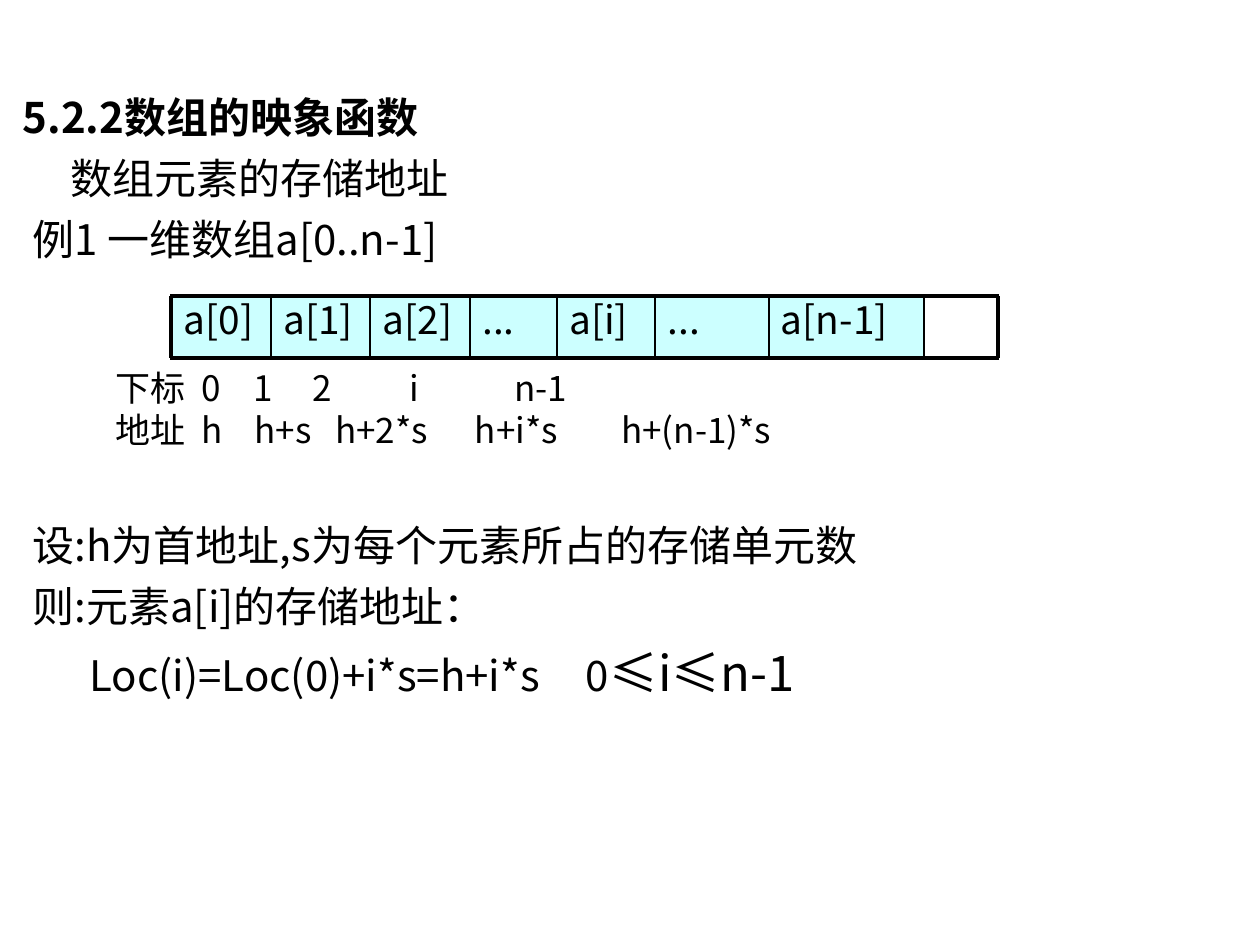
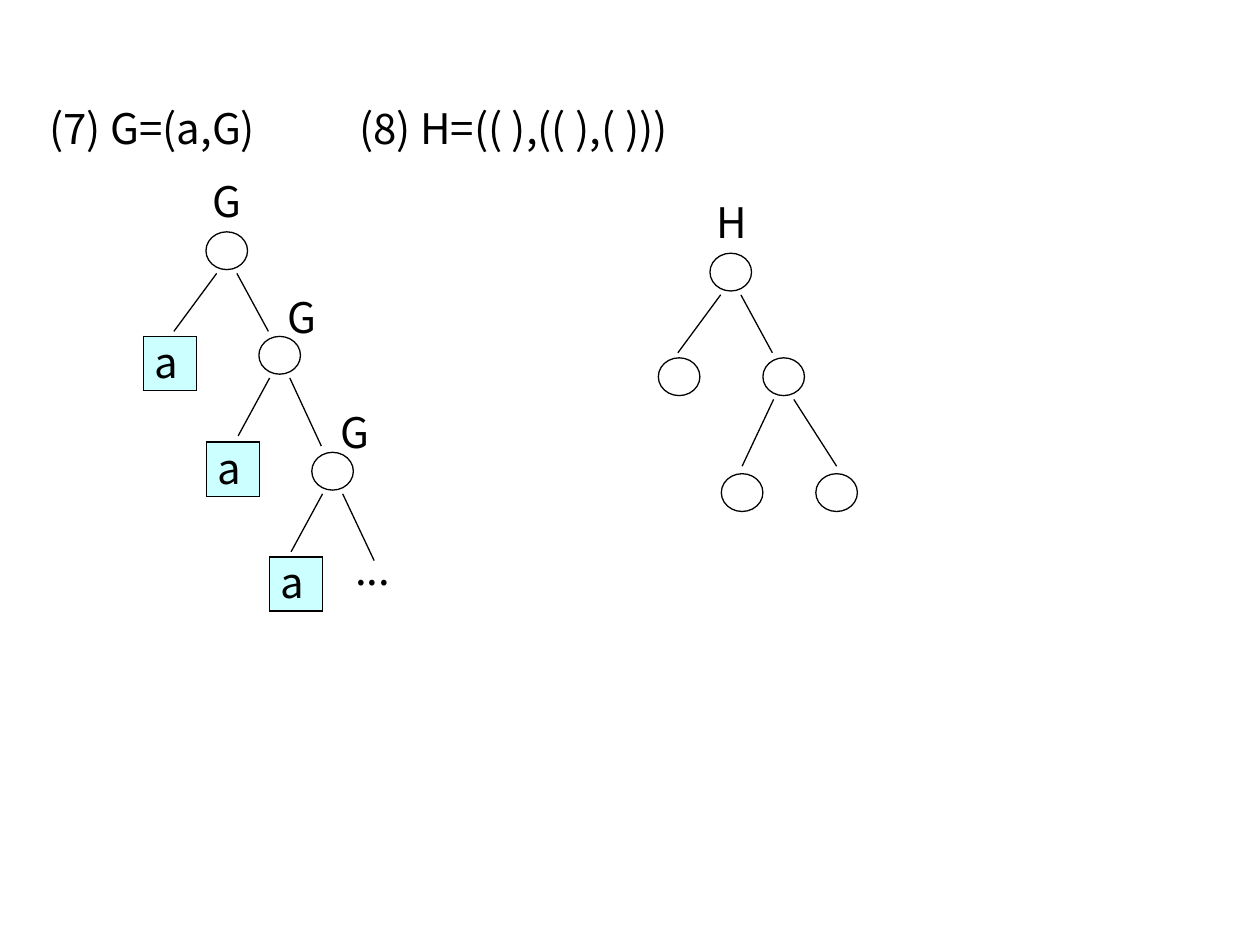
"""Build two lecture slides on array addressing and generalized lists."""
from dataclasses import dataclass

from lxml import etree
from pptx import Presentation
from pptx.dml.color import RGBColor
from pptx.enum import shapes, text
from pptx.oxml import ns
from pptx.util import Inches, Pt


@dataclass(frozen=True)
class Theme:
    """Colours, font, type sizes and line widths of the deck."""
    font: str = "Noto Sans CJK SC"
    ink: RGBColor = RGBColor(0x00, 0x00, 0x00)
    cell: RGBColor = RGBColor(0xCC, 0xFF, 0xFF)
    body: float = 24
    formula: float = 28
    entry: float = 22.2
    label: float = 20
    leading: float = 1.2
    thin: float = 0.75
    border: float = 1.1
    frame: float = 2.25


THEME = Theme()


def add_xml(parent, tag, **attributes):
    """Append a DrawingML element and return it."""
    return etree.SubElement(parent, ns.qn(tag), attributes)


def add_span(para, words, size=THEME.body, bold=False):
    """Add a run in the deck's font."""
    span = para.add_run()
    span.text = words
    span.font.size = Pt(size)
    span.font.bold = bold
    span.font.name = THEME.font
    span.font.color.rgb = THEME.ink
    add_xml(span.font._element, "a:ea", typeface=THEME.font)


def format_para(para, size=THEME.body, before=0, indent=0, tabs=()):
    """Set line height, gap above, indent and tab stops of a paragraph."""
    para.alignment = text.PP_ALIGN.LEFT
    para.line_spacing = Pt(round(size * THEME.leading, 1))
    para.space_before = Pt(before)
    properties = para._p.get_or_add_pPr()
    if indent:
        properties.set("marL", str(Inches(indent)))
    if tabs:
        stops = add_xml(properties, "a:tabLst")
        for stop in tabs:
            add_xml(stops, "a:tab", pos=str(Inches(stop)), algn="l")


def write(frame, words, size=THEME.body, bold=False, first=True, **layout):
    """Write one formatted paragraph into a text frame."""
    para = frame.paragraphs[0] if first else frame.add_paragraph()
    format_para(para, size, **layout)
    add_span(para, words, size, bold)


def set_margins(target, left=0.0, top=0.0):
    """Set left and top margins, with none on the other sides."""
    target.margin_left, target.margin_top = Inches(left), Inches(top)
    target.margin_right = target.margin_bottom = 0


def add_text_frame(page, left, top, width, height, wrap=True):
    """Add a text box without margins and return its frame."""
    box = page.shapes.add_textbox(*map(Inches, (left, top, width, height)))
    frame = box.text_frame
    frame.word_wrap = wrap
    set_margins(frame)
    return frame


def add_line(page, start, end, width):
    """Draw a straight line between two points."""
    line = page.shapes.add_connector(
        shapes.MSO_CONNECTOR.STRAIGHT, *map(Inches, (*start, *end)))
    line.line.color.rgb = THEME.ink
    line.line.width = Pt(width)
    add_xml(line._element.spPr, "a:effectLst")


def add_explanation(page, left, top):
    """Write the heading, the example and the address formula."""
    frame = add_text_frame(page, left, top, 9.6, 6)
    write(frame, "5.2.2数组的映象函数", bold=True)
    gap, array_gap = 6, 145.7
    for words, indent, before in (
            ("数组元素的存储地址", 0.38, gap),
            ("例1 一维数组a[0..n-1]", 0.08, gap),
            ("设:h为首地址,s为每个元素所占的存储单元数", 0.08, array_gap),
            ("则:元素a[i]的存储地址：", 0.08, gap)):
        write(frame, words, first=False, before=before, indent=indent)
    formula = frame.add_paragraph()
    format_para(formula, THEME.formula, before=gap + 1, tabs=(0.53, 4.47))
    add_span(formula, "\tLoc(i)=Loc(0)+i*s=h+i*s\t0")
    add_span(formula, "≤i≤n-1", THEME.formula)


def add_array(page, left, top):
    """Draw the array's cells, dividers and outer frame."""
    height = 0.49
    entries = ("a[0]", "a[1]", "a[2]", "...", "a[i]", "...", "a[n-1]")
    edges = [left + step for step in
             (0, 0.79, 1.58, 2.37, 3.06, 3.84, 4.74, 5.97, 6.56)]
    for entry, start, end in zip(entries, edges, edges[1:]):
        cell = page.shapes.add_shape(
            shapes.MSO_SHAPE.RECTANGLE,
            *map(Inches, (start, top, end - start, height)))
        cell.shadow.inherit = False
        cell.fill.solid()
        cell.fill.fore_color.rgb = THEME.cell
        cell.line.fill.background()
        frame = cell.text_frame
        frame.vertical_anchor = text.MSO_ANCHOR.TOP
        frame.word_wrap = False
        set_margins(frame, 0.1)
        write(frame, entry, THEME.entry)
    for edge in edges:
        outer = edge in (edges[0], edges[-1])
        add_line(page, (edge, top), (edge, top + height),
                 THEME.frame if outer else THEME.border)
    overlap = 0.01
    for side in (top, top + height):
        add_line(page, (edges[0] - overlap, side),
                 (edges[-1] + overlap, side), THEME.frame)


def add_addresses(page, left, top):
    """Write the rows of subscripts and addresses below the array."""
    frame = add_text_frame(page, left, top, 7, 0.67)
    write(frame, "下标\t0\t1\t2\ti\tn-1", THEME.label,
          tabs=(0.68, 1.09, 1.56, 2.33, 3.16))
    write(frame, "地址\th\th+s\th+2*s\th+i*s\th+(n-1)*s", THEME.label,
          first=False, tabs=(0.68, 1.1, 1.74, 2.85, 4.01))


def add_node(page, x, y):
    """Draw a list node as a hollow ellipse around its centre."""
    width, height = 0.33, 0.3
    node = page.shapes.add_shape(
        shapes.MSO_SHAPE.OVAL,
        *map(Inches, (x - width / 2, y - height / 2, width, height)))
    node.shadow.inherit = False
    node.fill.background()
    node.line.color.rgb = THEME.ink
    node.line.width = Pt(THEME.thin)


def add_branches(page, x, y, left_end, right_end):
    """Draw two branches from below a node to offsets from its centre."""
    for start, (across, down) in ((-0.08, left_end), (0.08, right_end)):
        add_line(page, (x + start, y + 0.18), (x + across, y + down),
                 THEME.thin)


def add_name(page, x, y, name, root=False):
    """Name a node: above a root, to the upper right of any other."""
    across, up = (-0.11, 0.6) if root else (0.06, 0.51)
    write(add_text_frame(page, x + across, y - up, 0.3, 0.4, False), name)


def add_atom(page, left, top):
    """Draw the atom a as a bordered one-cell table."""
    side = Inches(0.42)
    table = page.shapes.add_table(
        1, 1, Inches(left), Inches(top), side, side).table
    table.first_row = table.horz_banding = False
    cell = table.cell(0, 0)
    set_margins(cell, 0.09, 0.03)
    write(cell.text_frame, "a")
    properties = cell._tc.get_or_add_tcPr()
    for edge in ("a:lnL", "a:lnR", "a:lnT", "a:lnB"):
        line = add_xml(properties, edge, w=str(Pt(THEME.border)))
        fill = add_xml(line, "a:solidFill")
        add_xml(fill, "a:srgbClr", val=str(THEME.ink))
    cell.fill.solid()
    cell.fill.fore_color.rgb = THEME.cell


def add_recursive_tree(page, left, top):
    """Draw G, which holds an atom and then itself without end."""
    levels = (
        (0.66, 0.57, 1.25, (-0.42, 0.64), (0.33, 0.64)),
        (1.08, 1.4, 2.09, (-0.33, 0.64), (0.33, 0.72)),
        (1.5, 2.32, 3.0, (-0.33, 0.64), (0.33, 0.71)))
    for depth, (x, y, atom_top, left_end, right_end) in enumerate(levels):
        x, y = left + x, top + y
        add_node(page, x, y)
        add_name(page, x, y, "G", root=depth == 0)
        add_branches(page, x, y, left_end, right_end)
        add_atom(page, left + 0.5 * depth, top + atom_top)
    write(add_text_frame(page, left + 1.68, top + 2.89, 0.5, 0.4), "...")


def add_empty_tree(page, left, top):
    """Draw H, whose leaves are all empty lists."""
    root, inner = (left + 0.58, top + 0.57), (left + 1, top + 1.4)
    leaves = [(left + x, top + y)
              for x, y in ((0.17, 1.4), (0.67, 2.32), (1.42, 2.32))]
    for x, y in (root, inner, *leaves):
        add_node(page, x, y)
    add_name(page, *root, "H", root=True)
    add_branches(page, *root, (-0.42, 0.64), (0.33, 0.64))
    add_branches(page, *inner, (-0.33, 0.71), (0.42, 0.71))


def build_array_page(page):
    """Build the slide on the array mapping function."""
    add_explanation(page, 0.18, 0.73)
    add_array(page, 1.36, 2.35)
    add_addresses(page, 0.92, 2.91)


def build_list_page(page):
    """Build the slide with the two generalized lists."""
    frame = add_text_frame(page, 0.39, 0.81, 9, 0.5)
    write(frame, "(7) G=(a,G)\t(8) H=(( ),(( ),( )))", tabs=(2.46,))
    add_recursive_tree(page, 1.14, 1.42)
    add_empty_tree(page, 5.22, 1.59)


def main():
    """Create and save the deck."""
    deck = Presentation()
    deck.slide_width, deck.slide_height = Inches(10), Inches(7.5)
    for build in (build_array_page, build_list_page):
        build(deck.slides.add_slide(deck.slide_layouts[6]))
    deck.save("out.pptx")


if __name__ == "__main__":
    main()
